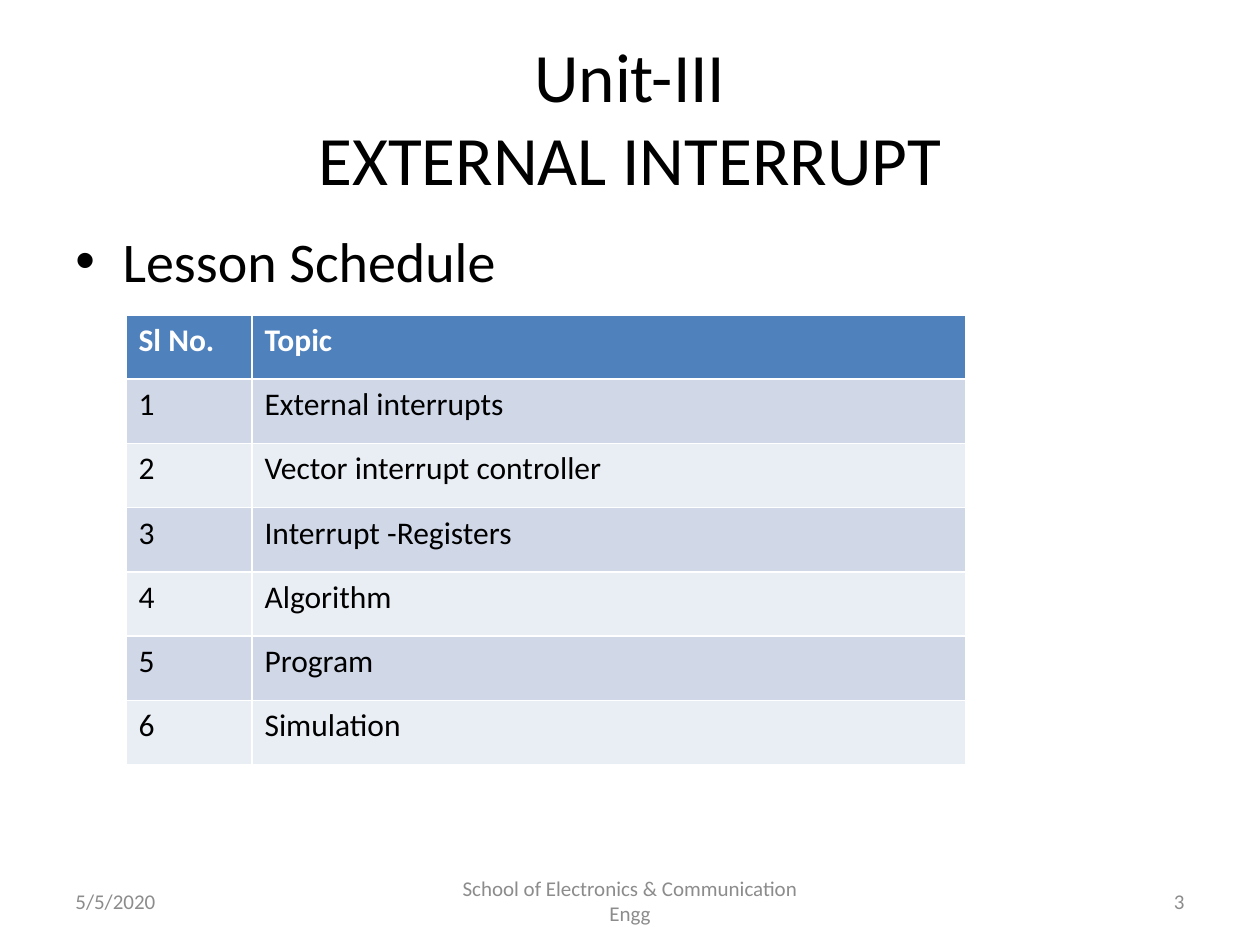
from lxml import etree
from pptx import Presentation
from pptx.dml.color import RGBColor
from pptx.enum import text as t
from pptx.oxml import ns
from pptx.util import Pt

COLORS = {
    "text": "000000",
    "footer": "8C8C8C",
    "header_text": "FFFFFF",
    "header": "4F81BD",
    "band_dark": "D0D8E8",
    "band_light": "E9EDF4",
}
TOPICS = ["External interrupts", "Vector interrupt controller",
          "Interrupt -Registers", "Algorithm", "Program", "Simulation"]


def write(paragraph, words, color, **font_values):
    paragraph.text = words
    for run in paragraph.runs:
        run.font.name = "Calibri"
        run.font.color.rgb = RGBColor.from_string(COLORS[color])
        for name, value in font_values.items():
            setattr(run.font, name, value)


def add_text(slide, box, words, size, color="text",
             align=t.PP_ALIGN.LEFT, anchor=t.MSO_ANCHOR.MIDDLE):
    frame = slide.shapes.add_textbox(*map(Pt, box)).text_frame
    frame_values = {"word_wrap": True, "vertical_anchor": anchor}
    for name, value in frame_values.items():
        setattr(frame, name, value)
    paragraph = frame.paragraphs[0]
    paragraph.alignment = align
    write(paragraph, words, color, size=Pt(size))
    return paragraph


def add_bullet(paragraph, indent):
    properties = paragraph._p.get_or_add_pPr()
    properties.set("marL", str(Pt(indent)))
    properties.set("indent", str(Pt(-indent)))
    etree.SubElement(properties, ns.qn("a:buFont")).set("typeface", "Arial")
    etree.SubElement(properties, ns.qn("a:buChar")).set("char", "•")


def add_schedule(slide, box, number_width):
    left, top, width, height = box
    rows = [("Sl No.", "Topic")]
    rows += [(str(number), topic) for number, topic in enumerate(TOPICS, 1)]
    table = slide.shapes.add_table(len(rows), 2, *map(Pt, box)).table
    for column, column_width in zip(table.columns, (number_width, width - number_width)):
        column.width = Pt(column_width)
    for index, row in enumerate(rows):
        table.rows[index].height = Pt(height / len(rows))
        is_header = index == 0
        band = "band_dark" if index % 2 else "band_light"
        for column, words in enumerate(row):
            cell = table.cell(index, column)
            cell.fill.solid()
            cell.fill.fore_color.rgb = RGBColor.from_string(
                COLORS["header" if is_header else band])
            write(cell.text_frame.paragraphs[0], words,
                  "header_text" if is_header else "text",
                  size=Pt(18), bold=is_header)


def add_footer(slide, box):
    """Place the date, the school and the slide number along one strip."""
    left, top, width, height = box
    side, middle = 168, 228
    parts = [
        (left, side, "5/5/2020", t.PP_ALIGN.LEFT),
        (left + (width - middle) / 2, middle,
         "School of Electronics & Communication Engg", t.PP_ALIGN.CENTER),
        (left + width - side, side, "3", t.PP_ALIGN.RIGHT),
    ]
    for part_left, part_width, words, align in parts:
        add_text(slide, (part_left, top, part_width, height), words, 12, "footer", align)


def main():
    presentation = Presentation()
    presentation.slide_width, presentation.slide_height = Pt(720), Pt(540)
    slide = presentation.slides.add_slide(presentation.slide_layouts[6])
    add_text(slide, (36, 21.6, 648, 90), "Unit-III\nEXTERNAL INTERRUPT", 39.6,
             align=t.PP_ALIGN.CENTER)
    lesson = add_text(slide, (36, 126, 648, 356.4), "Lesson Schedule", 32,
                      anchor=t.MSO_ANCHOR.TOP)
    add_bullet(lesson, 27)
    add_schedule(slide, (72, 180, 480, 257), 72)
    add_footer(slide, (36, 500.5, 648, 28.75))
    presentation.save("out.pptx")


if __name__ == "__main__":
    main()
